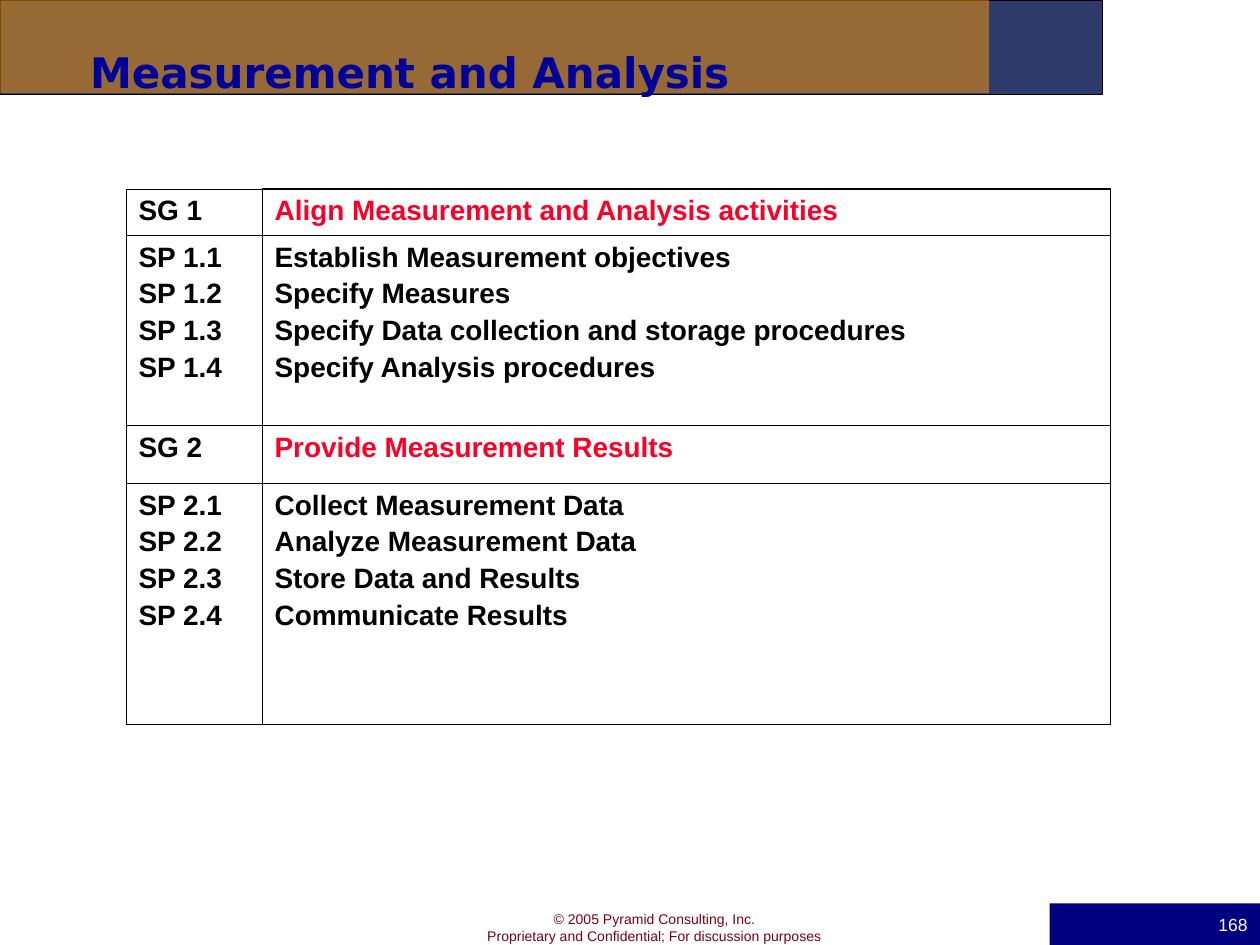
"""Build the Measurement and Analysis goals and practices slide."""
from lxml.etree import SubElement
from pptx import Presentation
from pptx.dml.color import RGBColor
from pptx.enum.shapes import MSO_SHAPE
from pptx.enum.text import MSO_ANCHOR, MSO_AUTO_SIZE, PP_ALIGN
from pptx.oxml.ns import qn
from pptx.util import Pt

TITLE = "Measurement and Analysis"
FOOTER = ["© 2005 Pyramid Consulting, Inc.",
          "Proprietary and Confidential; For discussion purposes"]
PAGE = "168"
GOALS = [
    ("Align Measurement and Analysis activities",
     ["Establish Measurement objectives", "Specify Measures",
      "Specify Data collection and storage procedures",
      "Specify Analysis procedures"]),
    ("Provide Measurement Results",
     ["Collect Measurement Data", "Analyze Measurement Data",
      "Store Data and Results", "Communicate Results"]),
]
COLS = [77.76, 484.56]
ROWS = [26.64, 108.72, 33.12, 137.52]
BARS = {
    "navy": ((0, 0, 630, 54), "2E3A6C", "000000"),
    "amber": ((0, 0, 565.2, 53.28), "FF9900", None),
    "page": ((599.76, 516.24, 120.24, 23.76), "000080", None),
}
THEME = {
    "title": {"name": "DejaVu Sans", "size": 24, "bold": True, "color": "000099"},
    "goal": {"name": "Arial", "size": 16, "bold": True, "color": "FC0128"},
    "body": {"name": "Arial", "size": 16, "bold": True, "color": "000000"},
    "footer": {"name": "Arial", "size": 8, "bold": False, "color": "7A0014"},
    "page": {"name": "Arial", "size": 10, "bold": False, "color": "FFFFFF"},
    "thin": 0.45, "thick": 1.08, "gap": 3.2, "border": "000000",
}


def write(tf, lines, style, align=PP_ALIGN.LEFT, gap=0):
    for i, line in enumerate(lines):
        p = tf.paragraphs[0] if i == 0 else tf.add_paragraph()
        p.alignment, p.space_before = align, Pt(gap if i else 0)
        r = p.add_run()
        r.text = line
        for key, value in THEME[style].items():
            if key == "color":
                r.font.color.rgb = RGBColor.from_string(value)
            else:
                setattr(r.font, key, Pt(value) if key == "size" else value)


def add_bar(s, name):
    box, fill, line = BARS[name]
    sp = s.shapes.add_shape(MSO_SHAPE.RECTANGLE, *map(Pt, box))
    sp.shadow.inherit = False
    sp.fill.solid()
    sp.fill.fore_color.rgb = RGBColor.from_string(fill)
    if line:
        sp.line.color.rgb = RGBColor.from_string(line)
        sp.line.width = Pt(0.75)
    else:
        sp.line.fill.background()
    return sp


def set_borders(cell, widths):
    tcPr = cell._tc.get_or_add_tcPr()
    for i, (side, width) in enumerate(widths.items()):
        ln = SubElement(tcPr, qn(f"a:{side}"), w=str(Pt(width)))
        fill = SubElement(ln, qn("a:solidFill"))
        SubElement(fill, qn("a:srgbClr"), val=THEME["border"])
        tcPr.insert(i, ln)


def add_goals(s):
    tbl = s.shapes.add_table(len(ROWS), len(COLS), Pt(72), Pt(108),
                             Pt(sum(COLS)), Pt(sum(ROWS))).table
    tbl.first_row = tbl.horz_banding = False
    for col, width in zip(tbl.columns, COLS):
        col.width = Pt(width)
    for row, height in zip(tbl.rows, ROWS):
        row.height = Pt(height)
    content = []
    for n, (goal, practices) in enumerate(GOALS, 1):
        codes = [f"SP {n}.{k}" for k in range(1, len(practices) + 1)]
        content += [([f"SG {n}"], [goal], "goal"), (codes, practices, "body")]
    for r, (codes, texts, style) in enumerate(content):
        for c, (lines, look) in enumerate([(codes, "body"), (texts, style)]):
            cell = tbl.cell(r, c)
            cell.fill.background()
            write(cell.text_frame, lines, look, gap=THEME["gap"])
            widths = dict.fromkeys(("lnL", "lnR", "lnT", "lnB"), THEME["thin"])
            if (r, c) == (0, 1):
                widths["lnT"] = THEME["thick"]
            if r == len(ROWS) - 1:
                widths["lnB"] = THEME["thick"]
            set_borders(cell, widths)


def main():
    prs = Presentation()
    prs.slide_width, prs.slide_height = Pt(720), Pt(540)
    s = prs.slides.add_slide(prs.slide_layouts[5])
    add_bar(s, "navy")

    footer = s.shapes.add_textbox(Pt(267.84), Pt(516.96), Pt(212.4), Pt(26.64))
    footer.text_frame.word_wrap = True
    write(footer.text_frame, FOOTER, "footer", PP_ALIGN.CENTER)

    amber = add_bar(s, "amber")
    color = amber.fill._xPr.find(".//" + qn("a:srgbClr"))
    SubElement(color, qn("a:alpha"), val="50000")
    add_goals(s)

    title = s.shapes.title
    title.left, title.top, title.width, title.height = map(Pt, (36, 21.6, 648, 90))
    tf = title.text_frame
    tf.auto_size, tf.vertical_anchor = MSO_AUTO_SIZE.NONE, MSO_ANCHOR.TOP
    tf.margin_left, tf.margin_top = Pt(15.5), Pt(5)
    write(tf, [TITLE], "title")
    s.shapes._spTree.append(title._element)

    page = add_bar(s, "page").text_frame
    page.vertical_anchor = MSO_ANCHOR.MIDDLE
    write(page, [PAGE], "page", PP_ALIGN.RIGHT)
    prs.save("out.pptx")


if __name__ == "__main__":
    main()
